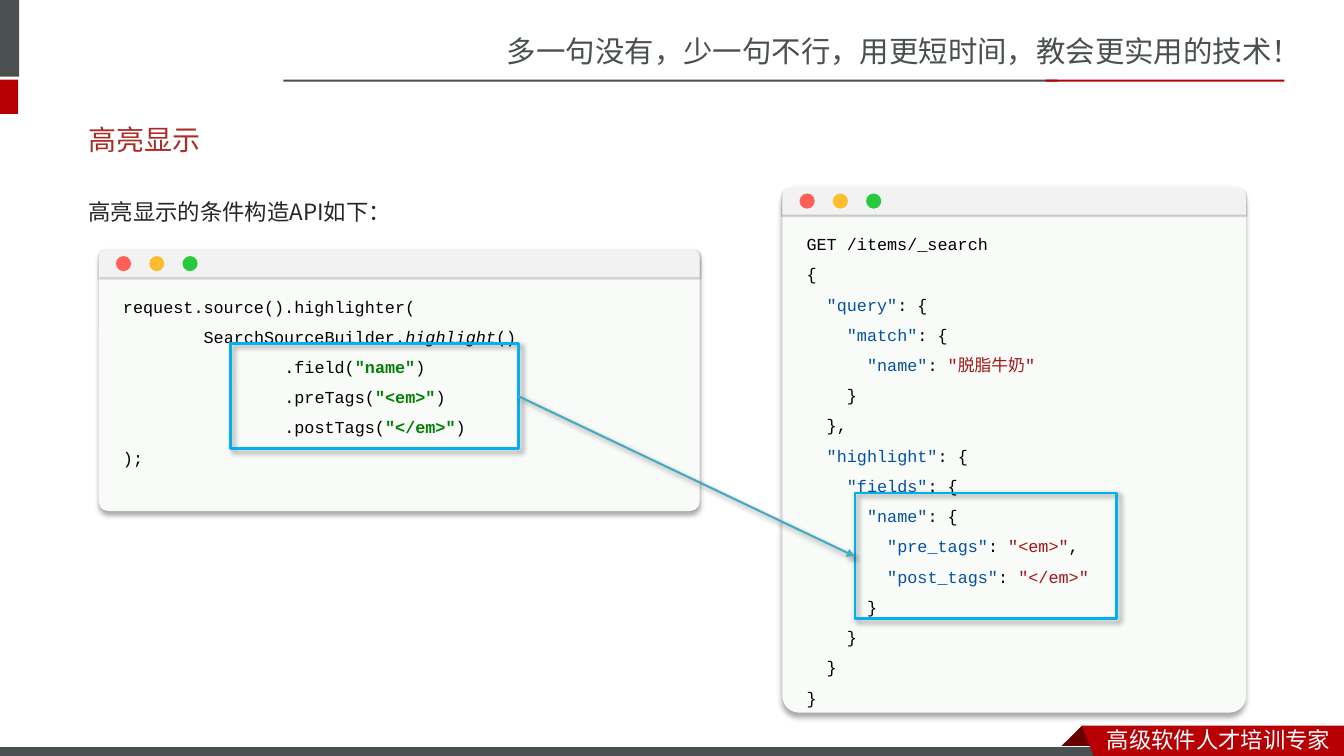
from dataclasses import dataclass

from lxml.etree import SubElement
from pptx import Presentation
from pptx.dml.color import RGBColor
from pptx.enum.shapes import MSO_CONNECTOR, MSO_SHAPE
from pptx.enum.text import MSO_ANCHOR
from pptx.oxml.ns import qn
from pptx.util import Inches, Pt


@dataclass(frozen=True)
class Theme:
    grey: str = "49504F"
    red: str = "B60004"
    dark_red: str = "680000"
    title: str = "AD2A26"
    body: str = "262626"
    white: str = "FFFFFF"
    black: str = "000000"
    panel: str = "F9FBF9"
    title_bar: str = "F2F2F2"
    frame: str = "00B0F0"
    arrow: str = "46AAC5"
    key: str = "0451A5"
    value: str = "A31515"
    literal: str = "008000"
    buttons: tuple = ("FF5F56", "FFBD2E", "27C93F")
    cjk: str = "Noto Sans CJK SC"
    cjk_body: str = "Noto Sans CJK JP"
    heading: str = "Roboto"
    mono: str = "Courier New"
    slogan_size: int = 21
    title_size: int = 20
    body_size: int = 16
    code_size: int = 12


theme = Theme()

# Shadows: opacity %, blur pt, distance pt, direction in degrees
PANEL_SHADOW = (34, 4, 3, 90)
BAR_SHADOW = (20, 1, 1, 90)
FRAME_SHADOW = (40, 4, 3, 45)

# Code token styles: colour, bold, italic
PLAIN = (theme.black, False, False)
METHOD = (theme.black, False, True)
LITERAL = (theme.literal, True, False)
KEY = (theme.key, False, False)
VALUE = (theme.value, False, False)

# Code lines: indent in characters, then the tokens
JAVA_CODE = [
    (0, [("request.source().highlighter(", PLAIN)]),
    (8, [("SearchSourceBuilder.", PLAIN), ("highlight", METHOD), ("()", PLAIN)]),
    (16, [(".field(", PLAIN), ('"name"', LITERAL), (")", PLAIN)]),
    (16, [(".preTags(", PLAIN), ('"<em>"', LITERAL), (")", PLAIN)]),
    (16, [(".postTags(", PLAIN), ('"</em>"', LITERAL), (")", PLAIN)]),
    (0, [(");", PLAIN)]),
]
JSON_QUERY = [
    (0, [("GET /items/_search", PLAIN)]),
    (0, [("{", PLAIN)]),
    (2, [('"query"', KEY), (": {", PLAIN)]),
    (4, [('"match"', KEY), (": {", PLAIN)]),
    (6, [('"name"', KEY), (": ", PLAIN), ('"脱脂牛奶"', VALUE)]),
    (4, [("}", PLAIN)]),
    (2, [("},", PLAIN)]),
    (2, [('"highlight"', KEY), (": {", PLAIN)]),
    (4, [('"fields"', KEY), (": {", PLAIN)]),
    (6, [('"name"', KEY), (": {", PLAIN)]),
    (8, [('"pre_tags"', KEY), (": ", PLAIN), ('"<em>"', VALUE), (",", PLAIN)]),
    (8, [('"post_tags"', KEY), (": ", PLAIN), ('"</em>"', VALUE)]),
    (6, [("}", PLAIN)]),
    (4, [("}", PLAIN)]),
    (2, [("}", PLAIN)]),
    (0, [("}", PLAIN)]),
]


def paint(shape, fill=None, line=None, width=1, shadow=None):
    """Set fill, outline and shadow; whatever is not given is switched off."""
    if fill:
        shape.fill.solid()
        shape.fill.fore_color.rgb = RGBColor.from_string(fill)
    elif hasattr(shape, "fill"):
        shape.fill.background()
    if line:
        shape.line.color.rgb = RGBColor.from_string(line)
        shape.line.width = Pt(width)
    else:
        shape.line.fill.background()
    effects = SubElement(shape._element.spPr, qn("a:effectLst"))
    if shadow:
        opacity, blur, distance, direction = shadow
        outer = SubElement(effects, qn("a:outerShdw"), blurRad=str(Pt(blur)),
                           dist=str(Pt(distance)), dir=str(direction * 60000),
                           algn="t", rotWithShape="0")
        colour = SubElement(outer, qn("a:srgbClr"), val=theme.black)
        SubElement(colour, qn("a:alpha"), val=str(opacity * 1000))


def add_text(at, lines, font, size, spacing=1, space_before=0, inset=0.1):
    """Add a text box from lines of (indent in characters, styled tokens)."""
    box = slide.shapes.add_textbox(*map(Inches, at))
    frame = box.text_frame
    frame.word_wrap = True
    frame.margin_left = frame.margin_right = Inches(inset)
    for number, (indent, tokens) in enumerate(lines):
        paragraph = frame.add_paragraph() if number else frame.paragraphs[0]
        paragraph.line_spacing = spacing
        paragraph.space_before = Pt(space_before)
        if indent:
            properties = paragraph._p.get_or_add_pPr()
            properties.set("marL", str(Inches(indent / 10)))
            properties.set("indent", "0")
        for text, (colour, bold, italic) in tokens:
            run = paragraph.add_run()
            run.text = text
            run.font.size = Pt(size)
            run.font.bold = bold
            run.font.italic = italic
            run.font.color.rgb = RGBColor.from_string(colour)
            run.font.name = font
            SubElement(run._r.get_or_add_rPr(), qn("a:ea"), typeface=theme.cjk)
    return box


presentation = Presentation()
presentation.slide_width = Inches(13.33)
presentation.slide_height = Inches(7.5)
slide = presentation.slides.add_slide(presentation.slide_layouts[6])

# Header and footer
slogan = [("多一句没有，少一句不行，用更短时间，教会更实用的技术！", (theme.grey, False, False))]
add_text((4.93, 0.28, 8.41, 0.47), [(0, slogan)], theme.cjk, theme.slogan_size)
for at, colour in [
    ((-0.06, 0, 0.25, 0.76), theme.grey),
    ((-0.06, 0.79, 0.24, 0.34), theme.red),
    ((2.81, 0.79, 7.68, 0.02), theme.grey),
    ((10.37, 0.79, 2.37, 0.02), theme.red),
]:
    paint(slide.shapes.add_shape(MSO_SHAPE.RECTANGLE, *map(Inches, at)), colour)

ribbon_fold = [(10.73, 7.2), (10.95, 7.42), (10.94, 7.43), (10.52, 7.43), (10.51, 7.42)]
ribbon = [(10.73, 7.2), (13.33, 7.2), (13.33, 7.54), (10.86, 7.53)]
footer_bar = [(-0.01, 7.41), (10.99, 7.41), (10.99, 7.53), (-0.01, 7.53)]
for corners, colour, outline in [
    (ribbon_fold, theme.dark_red, None),
    (footer_bar, theme.grey, theme.white),
    (ribbon, theme.red, None),
]:
    points = [(Inches(x), Inches(y)) for x, y in corners]
    builder = slide.shapes.build_freeform(*points[0])
    builder.add_line_segments(points[1:], close=True)
    paint(builder.convert_to_shape(), colour, outline, 0.75)
tagline = [("高级软件人才培训专家", (theme.white, False, False))]
add_text((10.88, 7.15, 2.45, 0.37), [(0, tagline)], theme.cjk, theme.body_size)

# Title and introduction
title = add_text((0.78, 1.16, 11.7, 0.44), [(0, [("高亮显示", (theme.title, False, False))])],
                 theme.heading, theme.title_size, space_before=4)
title.text_frame.vertical_anchor = MSO_ANCHOR.MIDDLE
introduction = [("高亮显示的条件构造API如下：", (theme.body, False, False))]
add_text((0.78, 1.78, 11.7, 0.52), [(0, introduction)], theme.cjk_body,
         theme.body_size, spacing=1.5, space_before=3.2)

# Code windows
for left, top, width, height, code in [
    (7.76, 1.84, 4.6, 5.23, JSON_QUERY),
    (0.98, 2.46, 5.96, 2.61, JAVA_CODE),
]:
    panel = slide.shapes.add_shape(MSO_SHAPE.ROUNDED_RECTANGLE, Inches(left), Inches(top),
                                   Inches(width), Inches(height))
    panel.adjustments[0] = 0.036
    paint(panel, theme.panel, shadow=PANEL_SHADOW)
    add_text((left, top + 0.33, width, 0.3 * len(code) + 0.1), code, theme.mono,
             theme.code_size, spacing=1.5, inset=0.24)
    title_bar = slide.shapes.add_shape(MSO_SHAPE.ROUND_2_SAME_RECTANGLE, Inches(left),
                                       Inches(top + 0.02), Inches(width), Inches(0.27))
    title_bar.adjustments[0] = 0.25
    paint(title_bar, theme.title_bar, shadow=BAR_SHADOW)
    for position, colour in enumerate(theme.buttons):
        button = slide.shapes.add_shape(
            MSO_SHAPE.OVAL, Inches(left + 0.17 + 0.33 * position), Inches(top + 0.08),
            Inches(0.15), Inches(0.15))
        paint(button, colour)

# Matching parts of the two windows
for at in [(2.29, 3.41, 2.85, 1.04), (8.48, 4.89, 2.59, 1.25)]:
    frame = slide.shapes.add_shape(MSO_SHAPE.RECTANGLE, *map(Inches, at))
    paint(frame, line=theme.frame, width=2, shadow=FRAME_SHADOW)
arrow = slide.shapes.add_connector(MSO_CONNECTOR.STRAIGHT, Inches(5.14), Inches(3.93),
                                   Inches(8.48), Inches(5.52))
paint(arrow, line=theme.arrow, width=1.5, shadow=FRAME_SHADOW)
SubElement(arrow.line._get_or_add_ln(), qn("a:tailEnd"), type="triangle")

presentation.save("out.pptx")
